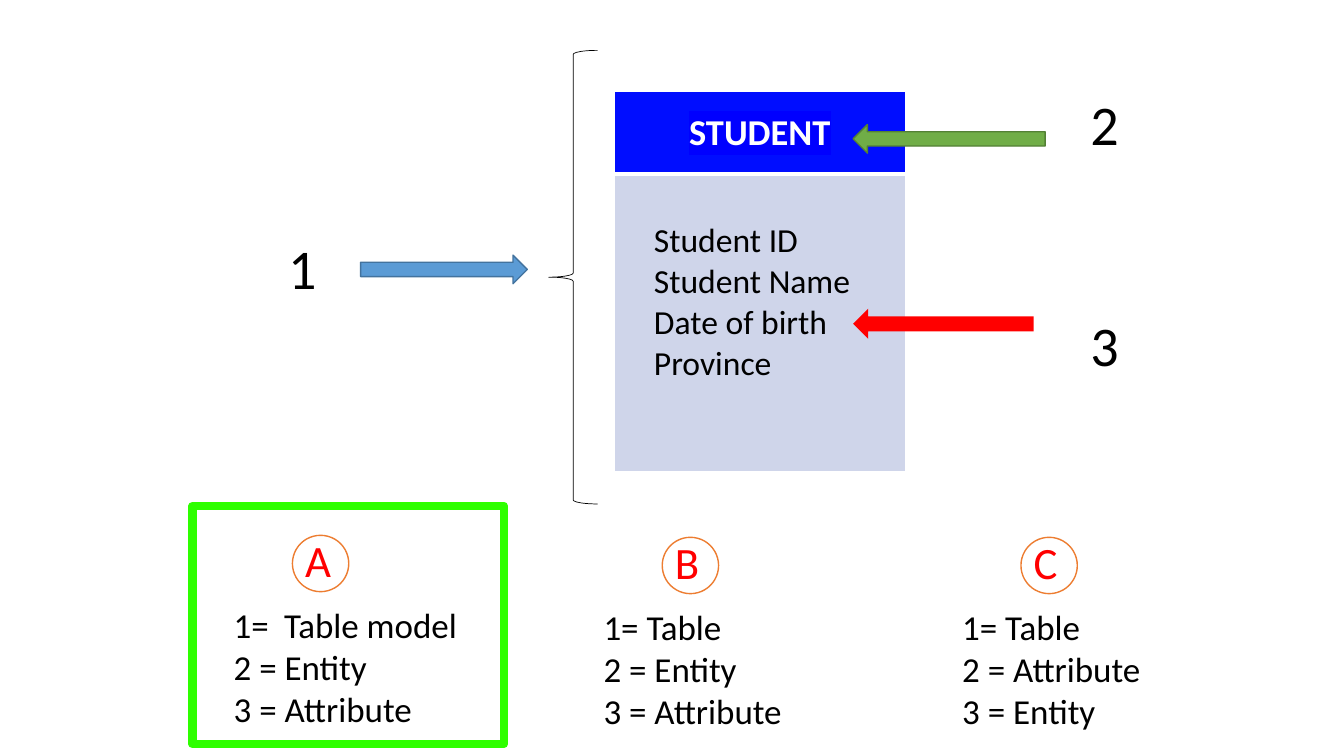
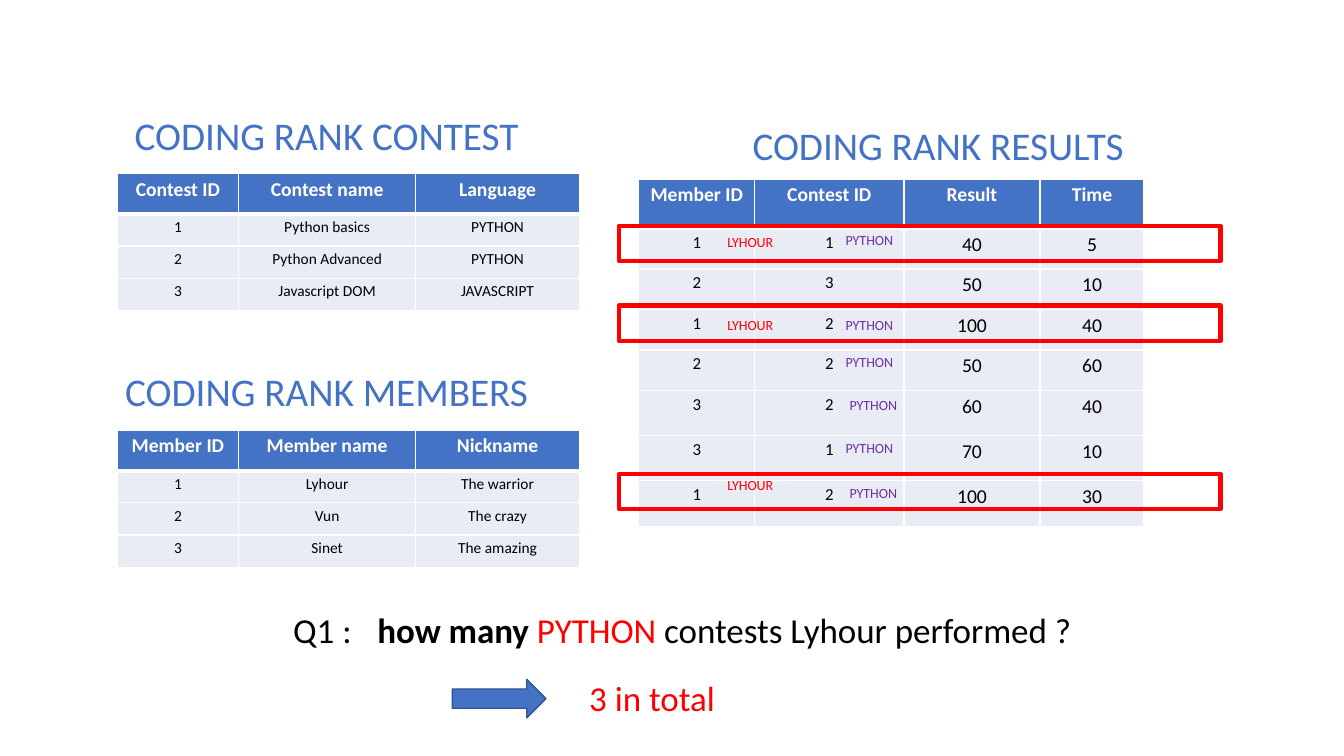
from lxml import etree
from pptx import Presentation
from pptx.dml.color import RGBColor
from pptx.enum.shapes import MSO_SHAPE
from pptx.enum.text import MSO_ANCHOR, MSO_AUTO_SIZE, PP_ALIGN
from pptx.oxml.ns import qn
from pptx.util import Cm, Pt

RECTANGLE = MSO_SHAPE.RECTANGLE
ELLIPSE = MSO_SHAPE.OVAL
BRACE = MSO_SHAPE.LEFT_BRACE
RIGHT_ARROW = MSO_SHAPE.RIGHT_ARROW
LEFT_ARROW = MSO_SHAPE.LEFT_ARROW
LEFT = PP_ALIGN.LEFT
CENTER = PP_ALIGN.CENTER
MIDDLE = MSO_ANCHOR.MIDDLE
GROW = MSO_AUTO_SIZE.SHAPE_TO_FIT_TEXT

BLACK = RGBColor(0x00, 0x00, 0x00)
WHITE = RGBColor(0xFF, 0xFF, 0xFF)
RED = RGBColor(0xFF, 0x00, 0x00)
PURPLE = RGBColor(0x70, 0x30, 0xA0)
ORANGE = RGBColor(0xED, 0x7D, 0x31)
LIME = RGBColor(0x2E, 0xFF, 0x00)
GREEN = RGBColor(0x70, 0xAD, 0x47)
DARK_GREEN = RGBColor(0x53, 0x80, 0x35)
SKY = RGBColor(0x5B, 0x9B, 0xD5)
DARK_SKY = RGBColor(0x43, 0x73, 0x9E)
BLUE = RGBColor(0x44, 0x72, 0xC4)
DARK_BLUE = RGBColor(0x32, 0x54, 0x91)
PURE_BLUE = RGBColor(0x00, 0x00, 0xFF)
ENTITY_BLUE = RGBColor(0x00, 0x0D, 0xFF)
ENTITY_BODY = RGBColor(0xCF, 0xD5, 0xEA)
PALE = RGBColor(0xE9, 0xEB, 0xF5)


class Deck:
    font_name = "Calibri"
    title_size = 28
    body_size = 25

    def __init__(self):
        self.deck = Presentation()
        self.deck.slide_width = Cm(33.87)
        self.deck.slide_height = Cm(19.05)
        self.page = None

    def new_page(self):
        self.page = self.deck.slides.add_slide(self.deck.slide_layouts[6])

    def style(self, para, size, color=None, bold=None, align=LEFT):
        para.alignment = align
        font = para.font
        font.name = self.font_name
        font.size = Pt(size)
        font.bold = bold
        if color is not None:
            font.color.rgb = color

    def text(self, left, top, width, height, lines, size=body_size, color=BLACK,
             align=LEFT, wrap=False, tab=None):
        box = self.page.shapes.add_textbox(Cm(left), Cm(top), Cm(width), Cm(height))
        frame = box.text_frame
        frame.word_wrap = wrap
        frame.auto_size = GROW
        for index, line in enumerate(lines):
            para = frame.add_paragraph() if index else frame.paragraphs[0]
            if tab:
                tabs = etree.SubElement(para._p.get_or_add_pPr(), qn("a:tabLst"))
                etree.SubElement(tabs, qn("a:tab"), pos=str(Cm(tab)), algn="l")
            if isinstance(line, str):
                para.add_run().text = line
                self.style(para, size, color, align=align)
                continue
            self.style(para, size, align=align)
            for words, span_color, bold in line:
                span = para.add_run()
                span.text = words
                span.font.color.rgb = span_color
                span.font.bold = bold

    def title(self, left, top, width, words):
        self.text(left, top, width, 1.45, [words], self.title_size, BLUE, CENTER, True)

    def shape(self, kind, left, top, width, height, fill=None, line=None, weight=1):
        shape = self.page.shapes.add_shape(kind, Cm(left), Cm(top), Cm(width), Cm(height))
        shape.shadow.inherit = False
        if fill is None:
            shape.fill.background()
        else:
            shape.fill.solid()
            shape.fill.fore_color.rgb = fill
        if line is None:
            shape.line.fill.background()
        else:
            shape.line.color.rgb = line
            shape.line.width = Pt(weight)

    def grid(self, left, top, widths, heights):
        table = self.page.shapes.add_table(
            len(heights), len(widths), Cm(left), Cm(top),
            Cm(sum(widths)), Cm(sum(heights))).table
        table.first_row = False
        table.horz_banding = False
        for column, width in zip(table.columns, widths):
            column.width = Cm(width)
        for row, height in zip(table.rows, heights):
            row.height = Cm(height)
        return table

    def cell(self, table, row, column, lines, fill, size, color=BLACK, bold=False,
             align=CENTER, margins=(0.2, 0.1)):
        cell = table.cell(row, column)
        properties = cell._tc.get_or_add_tcPr()
        weights = {"L": 1, "R": 1, "T": 3 if row == 1 else 1, "B": 1 if row else 3}
        for side, weight in weights.items():
            edge = etree.SubElement(properties, qn("a:ln" + side), w=str(Pt(weight)))
            paint = etree.SubElement(edge, qn("a:solidFill"))
            etree.SubElement(paint, qn("a:srgbClr"), val=str(WHITE))
        cell.fill.solid()
        cell.fill.fore_color.rgb = fill
        cell.margin_left = cell.margin_right = Cm(margins[0])
        cell.margin_top = cell.margin_bottom = Cm(margins[1])
        cell.text = "\n".join(lines)
        for para in cell.text_frame.paragraphs:
            self.style(para, size, color, bold, align)
        return cell

    def data_table(self, left, top, widths, heights, rows, sizes):
        table = self.grid(left, top, widths, heights)
        for row, values in enumerate(rows):
            for column, value in enumerate(values):
                if row:
                    self.cell(table, row, column, [value], PALE, sizes[column])
                else:
                    self.cell(table, row, column, [value], BLUE, 14, WHITE, True)

    def entity_table(self, left, top, name, attributes):
        table = self.grid(left, top, [7.32], [2.08, 7.49])
        header = self.cell(table, 0, 0, [name], ENTITY_BLUE, 26, WHITE, True)
        header.vertical_anchor = MIDDLE
        span = header.text_frame.paragraphs[0].runs[0]
        highlight = etree.SubElement(span._r.get_or_add_rPr(), qn("a:highlight"))
        etree.SubElement(highlight, qn("a:srgbClr"), val=str(PURE_BLUE))
        body = self.cell(table, 1, 0, attributes, ENTITY_BODY, 24, align=LEFT)
        body.margin_left = Cm(0.99)
        body.margin_top = Cm(1.16)

    def choice(self, left, top, width, letter, lines, tab=None):
        self.text(left, top, width, 3.45, lines, tab=tab)
        self.text(left + 1.8, top - 1.8, 1.17, 1.63, [letter], 32, RED)
        self.shape(ELLIPSE, left + 1.73, top - 1.6, 1.42, 1.42, line=ORANGE)


def build_entity_page(deck):
    deck.new_page()
    deck.entity_table(15.49, 2.31, "STUDENT",
                      ["Student ID", "Student Name", "Date of birth", "Province"])
    deck.shape(LEFT_ARROW, 21.5, 7.78, 4.55, 0.76, RED)
    deck.shape(LEFT_ARROW, 21.5, 3.14, 4.84, 0.72, GREEN, DARK_GREEN)
    deck.shape(BRACE, 13.83, 1.27, 1.23, 11.43, line=BLACK, weight=0.5)
    deck.shape(RIGHT_ARROW, 9.09, 6.43, 4.2, 0.72, SKY, DARK_SKY)
    for number, left, top in (("1", 7.01, 5.77), ("2", 27.23, 2.13), ("3", 27.23, 7.7)):
        deck.text(left, top, 1.24, 1.96, [number], 40)
    deck.choice(5.64, 15.09, 6.22, "A",
                ["1=\tTable model", "2 = Entity", "3 = Attribute"], tab=1.27)
    deck.choice(14.96, 15.14, 5.08, "B", ["1= Table", "2 = Entity", "3 = Attribute"])
    deck.choice(24, 15.14, 5.08, "C", ["1= Table", "2 = Attribute", "3 = Entity"])
    deck.shape(RECTANGLE, 4.85, 12.75, 7.85, 6, line=LIME, weight=6)


def build_contest_page(deck):
    deck.new_page()
    deck.data_table(
        16.1, 4.52, [2.92, 3.76, 3.43, 2.62], [1.24] + [1.02] * 4 + [1.14] * 3,
        [("Member ID", "Contest ID", "Result", "Time"),
         ("1", "1", "40", "5"),
         ("2", "3", "50", "10"),
         ("1", "2", "100", "40"),
         ("2", "2", "50", "60"),
         ("3", "2", "60", "40"),
         ("3", "1", "70", "10"),
         ("1", "2", "100", "30")],
        [12, 12, 14, 14])
    deck.title(15.88, 2.92, 15.52, "CODING RANK RESULTS")

    lists = (
        ("CODING RANK CONTEST", 2.67,
         [("Contest ID", "Contest name", "Language"),
          ("1", "Python basics", "PYTHON"),
          ("2", "Python Advanced", "PYTHON"),
          ("3", "Javascript DOM", "JAVASCRIPT")]),
        ("CODING RANK MEMBERS", 9.14,
         [("Member ID", "Member name", "Nickname"),
          ("1", "Lyhour", "The warrior"),
          ("2", "Vun", "The crazy"),
          ("3", "Sinet", "The amazing")]),
    )
    for title, top, rows in lists:
        deck.data_table(2.95, top + 1.7, [3.07, 4.45, 4.14], [1.02] + [0.81] * 3,
                        rows, [11] * 3)
        deck.title(2.44, top, 11.58, title)

    deck.text(7.14, 15.21, 20.57, 1.32,
              [[("Q1 :\t", BLACK, False), ("how many ", BLACK, True),
                ("PYTHON", RED, False), (" contests Lyhour performed ?", BLACK, False)]],
              wrap=True, tab=2.12)

    member_tags = [("LYHOUR", RED, 18.08, top) for top in (5.77, 7.85, 11.89)]
    language_tags = [("PYTHON", PURPLE, left, top) for left, top in (
        (21.06, 5.72), (21.06, 7.85), (21.06, 8.79),
        (21.16, 9.86), (21.06, 10.95), (21.16, 12.09))]
    for word, color, left, top in member_tags + language_tags:
        deck.text(left, top, 1.73, 0.69, [word], 10, color)

    for top in (5.69, 7.7, 11.94):
        deck.shape(RECTANGLE, 15.6, top, 15.16, 0.89, line=RED, weight=3)
    deck.shape(RIGHT_ARROW, 11.4, 17.12, 2.36, 0.97, BLUE, DARK_BLUE)
    deck.text(14.6, 16.92, 3.71, 1.32, ["3 in total"], color=RED)


def main():
    deck = Deck()
    build_entity_page(deck)
    build_contest_page(deck)
    deck.deck.save("out.pptx")


if __name__ == "__main__":
    main()
